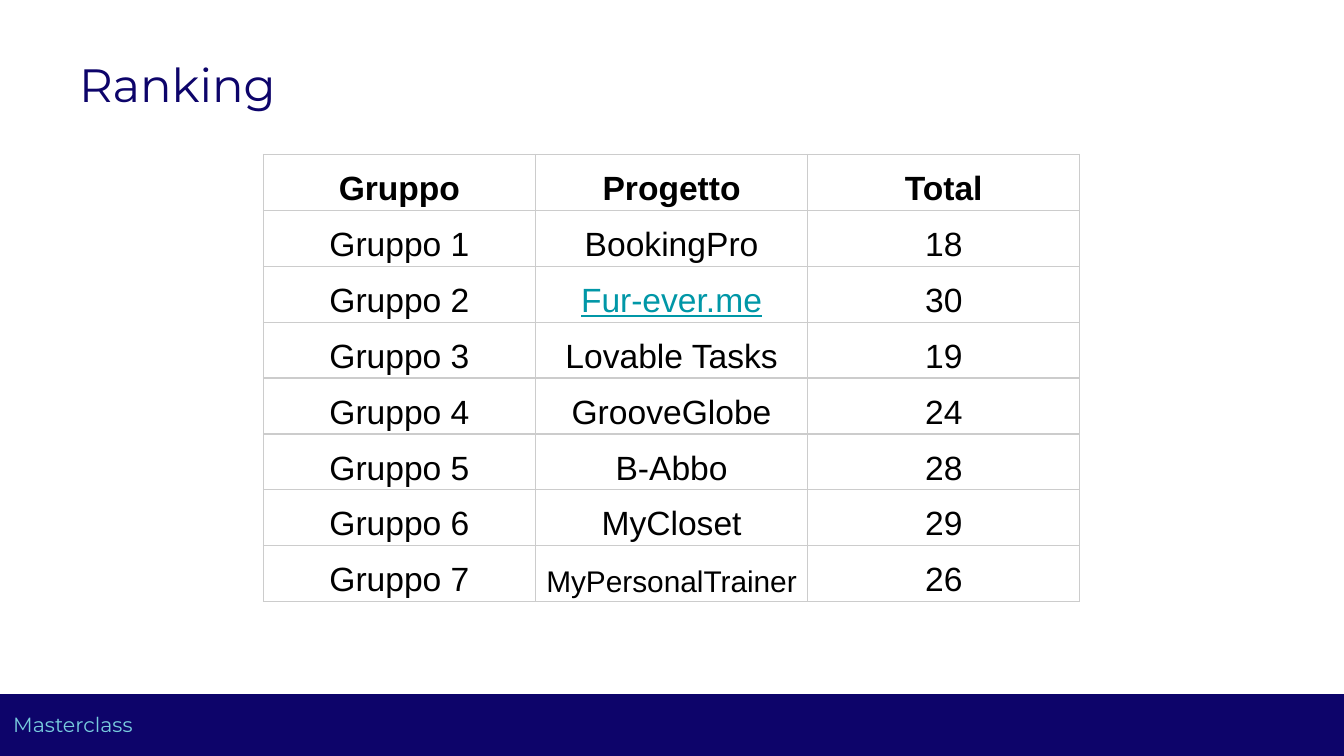
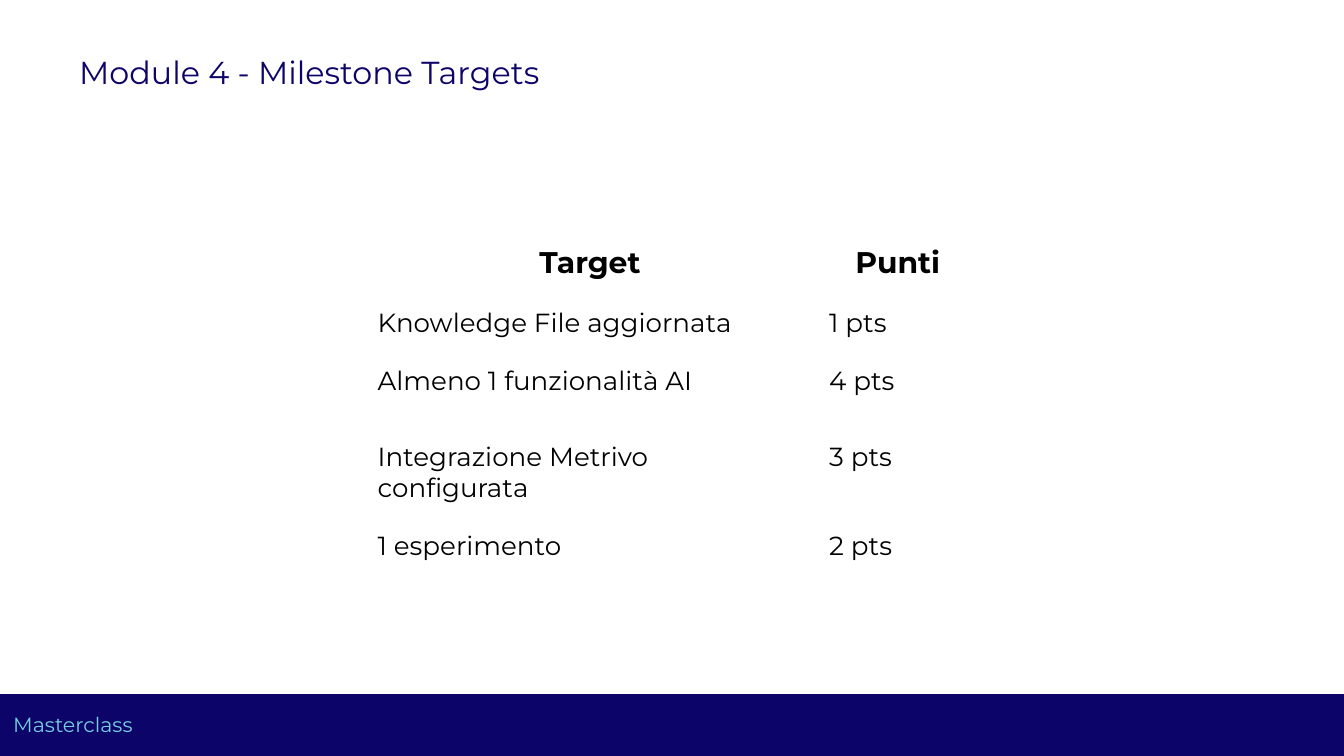
"""Builds the ranking slide and the milestone targets slide."""
from lxml import etree
from pptx import Presentation
from pptx.dml.color import RGBColor
from pptx.enum.shapes import MSO_SHAPE
from pptx.enum.text import MSO_ANCHOR, MSO_AUTO_SIZE, PP_ALIGN
from pptx.oxml.ns import qn
from pptx.util import Inches, Pt

RECTANGLE = MSO_SHAPE.RECTANGLE
TOP, BOTTOM = MSO_ANCHOR.TOP, MSO_ANCHOR.BOTTOM
LEFT, CENTER = PP_ALIGN.LEFT, PP_ALIGN.CENTER
GROW = MSO_AUTO_SIZE.SHAPE_TO_FIT_TEXT
COLOURS = {"navy": "0D046A", "sky": "78CCDE", "ink": "000000",
           "link": "0097A7", "rule": "CCCCCC"}
HEADING_FONT, TABLE_FONT = "Montserrat", "Arial"
COLUMNS, ROWS = 100, 56.25
UNIT = Inches(0.1)
LINE_SPACING = 1.15

RANKING = [
    ("Gruppo 1", "BookingPro", "18"),
    ("Gruppo 2", "Fur-ever.me", "30"),
    ("Gruppo 3", "Lovable Tasks", "19"),
    ("Gruppo 4", "GrooveGlobe", "24"),
    ("Gruppo 5", "B-Abbo", "28"),
    ("Gruppo 6", "MyCloset", "29"),
    ("Gruppo 7", "MyPersonalTrainer", "26"),
]
RANKING_STYLES = {"Fur-ever.me": {"colour": "link", "underline": True},
                  "MyPersonalTrainer": {"size": 16}}
TARGETS = [
    ("Knowledge File aggiornata", "1 pts"),
    ("Almeno 1 funzionalità AI", "4 pts"),
    ("Integrazione Metrivo configurata", "3 pts"),
    ("1 esperimento", "2 pts"),
]


def grid(*lengths):
    """Turn grid columns or rows into slide lengths."""
    return [round(length * UNIT) for length in lengths]


def colour_of(name):
    """Look up a named colour."""
    return RGBColor.from_string(COLOURS[name])


class Deck:
    """Holds the shared style and the current slide."""

    def __init__(self):
        """Start an empty widescreen deck."""
        self.deck = Presentation()
        self.deck.slide_width, self.deck.slide_height = grid(COLUMNS, ROWS)
        self.page = None

    def add_page(self, title, title_size, title_width, title_height):
        """Add a page with its footer band and title."""
        self.page = self.deck.slides.add_slide(self.deck.slide_layouts[6])
        self.band(0, 51.65, COLUMNS, ROWS - 51.65)
        self.text(0, 52.03, COLUMNS, 3.9, "Masterclass", 11, "sky")
        para = self.text(4.9, 2.5, title_width, title_height, title,
                         title_size, "navy")
        para.line_spacing = LINE_SPACING
        para.space_after = Pt(16)

    def band(self, *place):
        """Draw a solid navy band."""
        band = self.page.shapes.add_shape(RECTANGLE, *grid(*place))
        band.shadow.inherit = False
        band.fill.solid()
        band.fill.fore_color.rgb = colour_of("navy")
        band.line.fill.background()

    def text(self, left, top, width, height, words, size, colour):
        """Add a one-paragraph text box and return the paragraph."""
        box = self.page.shapes.add_textbox(*grid(left, top, width, height))
        frame = box.text_frame
        frame.word_wrap = True
        frame.auto_size = GROW
        self.inset(frame, 1, 1)
        para = frame.paragraphs[0]
        self.span(para, words, size, colour=colour)
        return para

    def inset(self, holder, across, down):
        """Set the margins of a text frame or cell."""
        holder.margin_left = holder.margin_right = grid(across)[0]
        holder.margin_top = holder.margin_bottom = grid(down)[0]

    def span(self, para, words, size, font=HEADING_FONT, colour="ink",
             bold=False, underline=False):
        """Add one styled run."""
        span = para.add_run()
        span.text = words
        span.font.size = Pt(size)
        span.font.name = font
        span.font.bold = bold
        span.font.underline = underline
        span.font.color.rgb = colour_of(colour)

    def table(self, left, top, widths, heights):
        """Add an unstyled table."""
        place = grid(left, top, sum(widths), sum(heights))
        table = self.page.shapes.add_table(len(heights), len(widths),
                                           *place).table
        table.first_row = table.horz_banding = False
        for column, width in zip(table.columns, grid(*widths)):
            column.width = width
        for row, height in zip(table.rows, grid(*heights)):
            row.height = height
        return table

    def cell(self, cell, words, margins, anchor, align, spacing=None,
             border=None, **style):
        """Fill one table cell."""
        self.inset(cell, *margins)
        cell.vertical_anchor = anchor
        para = cell.text_frame.paragraphs[0]
        para.alignment = align
        if spacing:
            para.line_spacing = spacing
        self.span(para, words, **style)
        self.borders(cell, border)
        cell.fill.background()

    def borders(self, cell, colour):
        """Rule the four sides of a cell, or clear them."""
        properties = cell._tc.get_or_add_tcPr()
        for side in ("lnL", "lnR", "lnT", "lnB"):
            line = etree.SubElement(properties, qn(f"a:{side}"),
                                    w=str(Pt(0.75)))
            if colour:
                fill = etree.SubElement(line, qn("a:solidFill"))
                etree.SubElement(fill, qn("a:srgbClr"), val=COLOURS[colour])
            else:
                etree.SubElement(line, qn("a:noFill"))

    def save(self):
        """Write the deck."""
        self.deck.save("out.pptx")


def ranking_page(deck):
    """Build the group ranking."""
    deck.add_page("Ranking", 25, 17.2, 6.2)
    rows = [("Gruppo", "Progetto", "Total")] + RANKING
    table = deck.table(19.6, 11.5, [20.25] * 3, [4.16] * len(rows))
    for r, row in enumerate(rows):
        for c, words in enumerate(row):
            style = {"size": 18, "font": TABLE_FONT, "bold": r == 0}
            style.update(RANKING_STYLES.get(words, {}))
            deck.cell(table.cell(r, c), words, (0.3, 0.2), BOTTOM, CENTER,
                      LINE_SPACING, "rule", **style)


def targets_page(deck):
    """Build the milestone targets and their points."""
    deck.add_page("Module 4 - Milestone Targets", 17, 42.6, 4.9)
    table = deck.table(27.1, 16.8, [33.6, 12.2], [4.3, 3.6, 5.6, 3.6, 3.6])
    for c, words in enumerate(("Target", "Punti")):
        deck.cell(table.cell(0, c), words, (1, 1), TOP, CENTER,
                  LINE_SPACING, size=16, bold=True)
    for r, row in enumerate(TARGETS, 1):
        for c, words in enumerate(row):
            deck.cell(table.cell(r, c), words, (1, 1), TOP, LEFT, size=14)


def main():
    """Build and save both slides."""
    deck = Deck()
    ranking_page(deck)
    targets_page(deck)
    deck.save()


if __name__ == "__main__":
    main()
